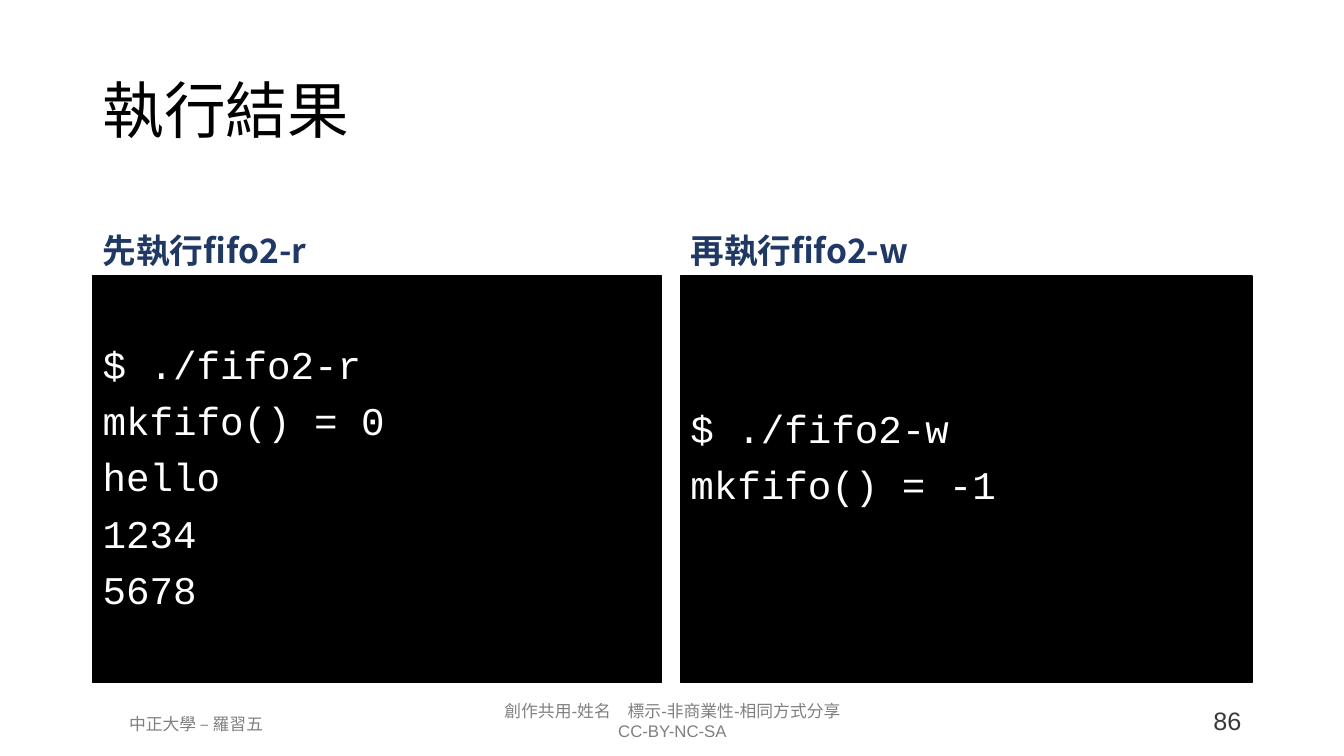
from dataclasses import dataclass

from lxml import etree
from pptx import Presentation
from pptx.dml.color import RGBColor
from pptx.enum.shapes import MSO_SHAPE
from pptx.enum.text import MSO_ANCHOR, PP_ALIGN
from pptx.oxml.ns import qn
from pptx.util import Inches, Pt

RECT = MSO_SHAPE.RECTANGLE
TOP, MID, LOW = MSO_ANCHOR.TOP, MSO_ANCHOR.MIDDLE, MSO_ANCHOR.BOTTOM
LEFT, CENTER, RIGHT = PP_ALIGN.LEFT, PP_ALIGN.CENTER, PP_ALIGN.RIGHT
WIDE, HIGH = Inches(13.33), Inches(7.5)


@dataclass(frozen=True)
class Theme:
    sans: str = "Noto Sans CJK SC"
    mono: str = "Courier New"
    foot: str = "Arial"
    ink: str = "000000"
    navy: str = "203864"
    paper: str = "FFFFFF"
    gray: str = "808080"
    dark: str = "3B3838"
    title: int = 44
    code: int = 28
    head: int = 24
    page: int = 18
    small: int = 12


THEME = Theme()

# Rows and columns, in percent of the slide
TITLE = (6.9, 5.33, 86.27, 19.33)
COLS = ((6.9, 42.31), (50.64, 42.53))
HEAD_ROW = (24.53, 12)
CODE_ROW = (36.53, 53.73)

# Heading, code lines and bottom inset of each panel
PANELS = (
    ("先執行fifo2-r",
     ("$ ./fifo2-r", "mkfifo() = 0", "hello", "1234", "5678"), 0.05),
    ("再執行fifo2-w", ("$ ./fifo2-w", "mkfifo() = -1"), 0.45),
)

# Footer text, place, size, colour and alignment
FOOTS = (
    (("創作共用-姓名　標示-非商業性-相同方式分享", "CC-BY-NC-SA"),
     (31.58, 92, 36.91, 6.67), THEME.small, THEME.gray, CENTER),
    (("中正大學 – 羅習五",),
     (5.18, 93.73, 18.83, 4), THEME.small, THEME.gray, CENTER),
    (("86",), (74.72, 92.67, 18.38, 5.33), THEME.page, THEME.dark, RIGHT),
)


def place(box):
    x, y, w, h = box
    return [round(part * full / 100)
            for part, full in ((x, WIDE), (y, HIGH), (w, WIDE), (h, HIGH))]


def style(item, form):
    for name, value in form.items():
        setattr(item, name, value)


def write(shape, lines, face, size, color, anchor=TOP, align=LEFT,
          bold=False, lead=1.0, gap=0, inset=0.05):
    frame = shape.text_frame
    style(frame, {"word_wrap": True, "vertical_anchor": anchor,
                  "margin_bottom": Inches(inset)})
    for row, line in enumerate(lines):
        para = frame.paragraphs[0] if row == 0 else frame.add_paragraph()
        style(para, {"alignment": align, "line_spacing": lead,
                     "space_before": Pt(gap if row else 0)})
        run = para.add_run()
        run.text = line
        style(run.font, {"name": face, "size": Pt(size), "bold": bold})
        run.font.color.rgb = RGBColor.from_string(color)
        # East Asian face
        east = etree.SubElement(run.font._element, qn("a:ea"))
        east.set("typeface", THEME.sans)


def label(slide, box, lines, *look, **form):
    write(slide.shapes.add_textbox(*place(box)), lines, *look, **form)


def screen(slide, box, lines, inset):
    shape = slide.shapes.add_shape(RECT, *place(box))
    shape.shadow.inherit = False
    shape.fill.solid()
    for paint in (shape.fill.fore_color, shape.line.color):
        paint.rgb = RGBColor.from_string(THEME.ink)
    shape.line.width = Pt(1)
    write(shape, lines, THEME.mono, THEME.code, THEME.paper,
          anchor=MID, lead=0.9, gap=10, inset=inset)


def main():
    deck = Presentation()
    style(deck, {"slide_width": WIDE, "slide_height": HIGH})
    slide = deck.slides.add_slide(deck.slide_layouts[6])

    # Footer
    for lines, box, size, color, align in FOOTS:
        label(slide, box, lines, THEME.foot, size, color, align=align)

    # Title
    label(slide, TITLE, ("執行結果",), THEME.sans, THEME.title, THEME.ink,
          anchor=MID, lead=0.9)

    # Terminal panels
    for (x, w), (head, code, inset) in zip(COLS, PANELS):
        y, h = HEAD_ROW
        label(slide, (x, y, w, h), (head,), THEME.sans, THEME.head,
              THEME.navy, anchor=LOW, bold=True, lead=0.9)
        y, h = CODE_ROW
        screen(slide, (x, y, w, h), code, inset)

    deck.save("out.pptx")


if __name__ == "__main__":
    main()
